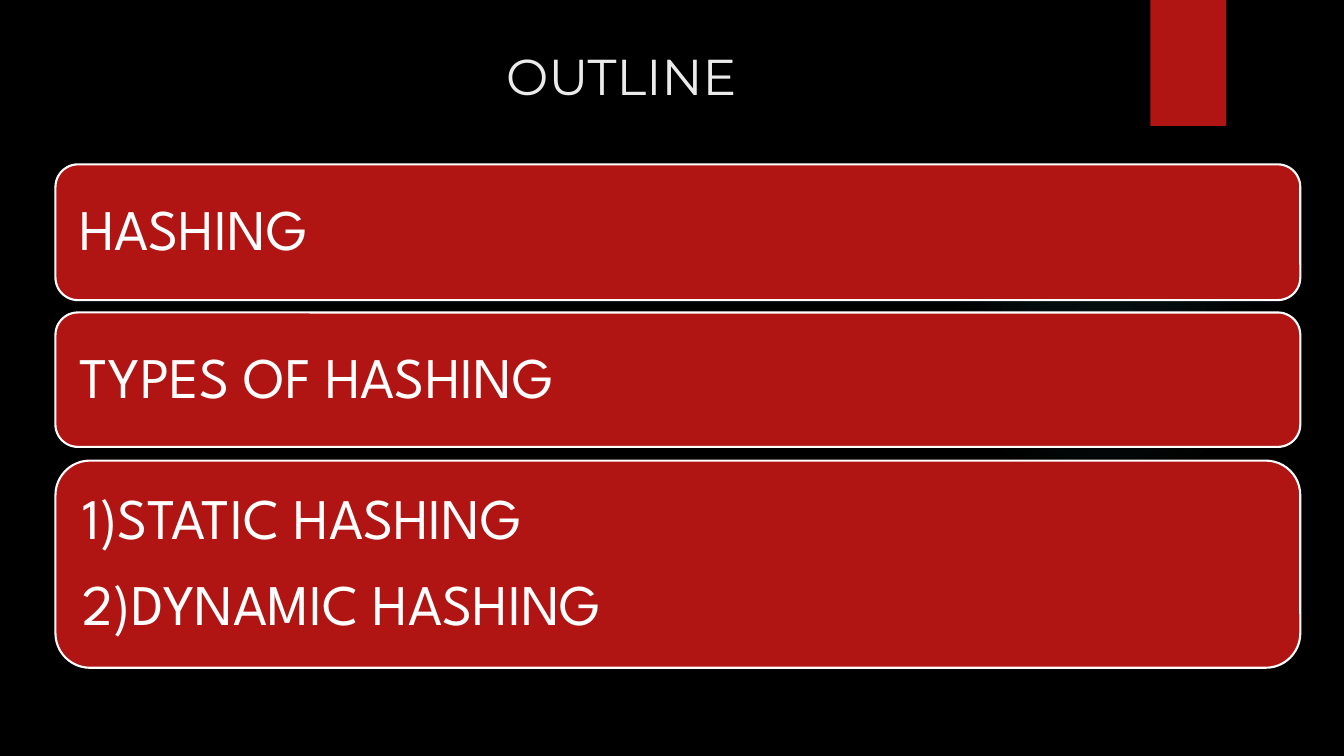
"""Build the hashing outline slide."""
import pptx
import pptx.util
import pptx.dml.color
import pptx.enum.shapes
import pptx.enum.text
import pptx.oxml

Pt = pptx.util.Pt
SHAPE = pptx.enum.shapes.MSO_SHAPE
ANCHOR = pptx.enum.text.MSO_ANCHOR
ALIGN = pptx.enum.text.PP_ALIGN

TITLE = "OUTLINE"
CARDS = [
    (97, ["HASHING"]),
    (96, ["TYPES OF HASHING"]),
    (148, ["1)STATIC HASHING", "2)DYNAMIC HASHING"]),
]
COLORS = {"back": "000000", "red": "B01513", "white": "FFFFFF",
          "title": "EBEBEB", "glow": "50B9C1"}
GLOW_STOPS = [(0, 7), (36, 6), (69, 0)]
CARD_LEFT, CARD_TOP, CARD_WIDTH, CARD_STEP = 39.6, 117.4, 889.2, 105.8
TITLE_FRAME = {"margin_left": Pt(101), "margin_right": 0, "margin_top": 0,
               "margin_bottom": Pt(1.5), "word_wrap": True,
               "vertical_anchor": ANCHOR.BOTTOM}
CARD_FRAME = {"margin_left": Pt(12.3), "margin_right": Pt(12.3),
              "margin_top": Pt(12.3), "margin_bottom": Pt(12.3),
              "word_wrap": True, "vertical_anchor": ANCHOR.MIDDLE}
TITLE_PARA = {"alignment": ALIGN.LEFT}
CARD_PARA = {"alignment": ALIGN.LEFT, "line_spacing": 0.9, "space_after": Pt(17.2)}
TITLE_FONT = {"name": "Montserrat", "size": Pt(36)}
CARD_FONT = {"name": "League Spartan", "size": Pt(41)}


def rgb(key):
    return pptx.dml.color.RGBColor.from_string(COLORS[key])


def apply(target, values):
    for name, value in values.items():
        setattr(target, name, value)


def add_shape(slide, kind, box, fill):
    sp = slide.shapes.add_shape(kind, *map(Pt, box))
    sp.shadow.inherit = False
    sp.fill.solid()
    sp.fill.fore_color.rgb = rgb(fill)
    sp.line.fill.background()
    return sp


def write(sp, lines, frame, para, font, color):
    tf = sp.text_frame
    apply(tf, frame)
    for i, line in enumerate(lines):
        p = tf.add_paragraph() if i else tf.paragraphs[0]
        apply(p, para)
        r = p.add_run()
        r.text = line
        apply(r.font, font)
        r.font.color.rgb = rgb(color)


def add_glow(slide):
    sp = add_shape(slide, SHAPE.OVAL, (677.5, 131.8, 221.8, 221.8), "glow")
    stops = "".join(
        f'<a:gs pos="{pos * 1000}"><a:srgbClr val="{COLORS["glow"]}">'
        f'<a:alpha val="{alpha * 1000}"/></a:srgbClr></a:gs>'
        for pos, alpha in GLOW_STOPS)
    grad = pptx.oxml.parse_xml(
        '<a:gradFill xmlns:a="http://schemas.openxmlformats.org/drawingml/2006/main">'
        f'<a:gsLst>{stops}</a:gsLst><a:path path="circle">'
        '<a:fillToRect l="50000" t="50000" r="50000" b="50000"/></a:path></a:gradFill>')
    props = sp.element.spPr
    solid = props.find(pptx.oxml.ns.qn("a:solidFill"))
    props.replace(solid, grad)


def main():
    prs = pptx.Presentation()
    prs.slide_width, prs.slide_height = Pt(960), Pt(540)
    slide = prs.slides.add_slide(prs.slide_layouts[5])
    slide.background.fill.solid()
    slide.background.fill.fore_color.rgb = rgb("back")

    add_glow(slide)
    add_shape(slide, SHAPE.RECTANGLE, (821.8, 0, 54, 90), "red")

    title = slide.shapes.title
    apply(title, {"left": Pt(260.6), "top": Pt(21.6),
                  "width": Pt(344.2), "height": Pt(55.4)})
    write(title, [TITLE], TITLE_FRAME, TITLE_PARA, TITLE_FONT, "title")

    for i, (height, lines) in enumerate(CARDS):
        box = (CARD_LEFT, CARD_TOP + i * CARD_STEP, CARD_WIDTH, height)
        card = add_shape(slide, SHAPE.ROUNDED_RECTANGLE, box, "red")
        card.line.color.rgb = rgb("white")
        card.line.width = Pt(1.5)
        write(card, lines, CARD_FRAME, CARD_PARA, CARD_FONT, "white")

    prs.save("out.pptx")


if __name__ == "__main__":
    main()
